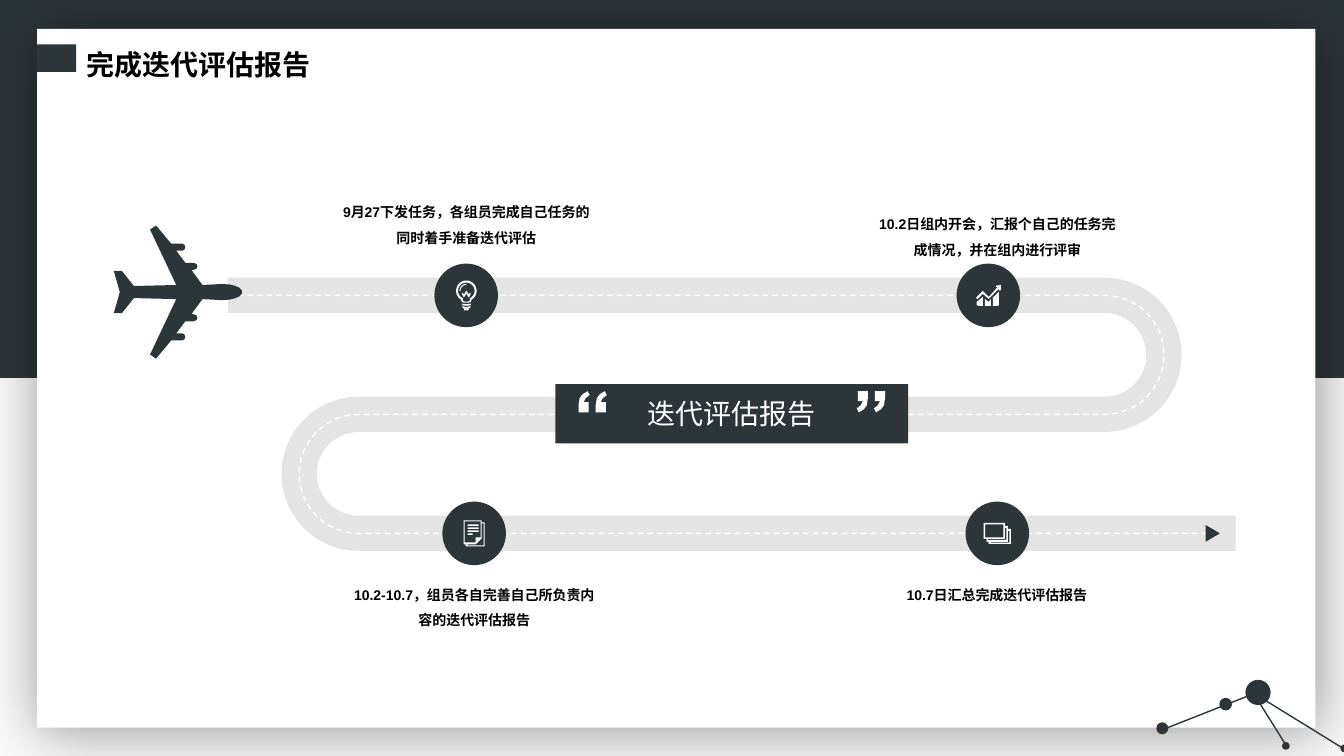
from dataclasses import dataclass
from math import cos, radians, sin

from lxml import etree
from pptx import Presentation
from pptx import util as u
from pptx.dml.color import RGBColor
from pptx.enum import dml, shapes, text
from pptx.oxml.ns import qn


@dataclass(frozen=True)
class Theme:
    dark: str = "2C353A"
    white: str = "FFFFFF"
    black: str = "000000"
    road: str = "A6A6A6"
    backdrop: str = "F9F9F9"
    font: str = "Arial"
    heading: int = 20
    label: int = 10


THEME = Theme()


def arc(center_x, center_y, radius, start, end, steps=24):
    """Points along an arc; degrees run clockwise from the right."""
    angles = [radians(start + (end - start) * i / steps) for i in range(steps + 1)]
    return [(center_x + radius * cos(a), center_y + radius * sin(a)) for a in angles]


def box(left, top, right, bottom):
    return [(left, top), (right, top), (right, bottom), (left, bottom)]


# Icons are lists of contours on a grid of 0.72 pt, starting at 0, 0.
GRID = 0.72
BULB = [
    arc(10.5, 10.2, 10.2, 122, 418) + [(15, 21), (13, 22), (8, 22), (6, 21)],
    arc(10.5, 10.2, 8.2, 115, 425) + [(14, 20), (12, 21), (9, 21), (7, 20)],
    arc(10.5, 10.2, 6.8, 180, 270) + arc(10.5, 10.2, 5.8, 270, 180),
    [(13, 14), (10.5, 10), (8, 14), (7, 12), (6, 13), (8, 17), (10.5, 13),
     (13, 17), (15, 13), (14, 12)],
    [(6, 23), (6, 24), (8, 25), (13, 25), (15, 24), (15, 23), (10.5, 23.5)],
    [(6, 25.5), (7, 27), (8, 28), (8.5, 29.5), (12.5, 29.5), (13, 28), (14, 27),
     (15, 25.5), (10.5, 26.3)],
]
GROWTH = [
    [(1, 17), (7, 12), (7, 21), (3, 21), (1, 20)],
    [(20, 1), (20, 2), (22, 2), (13, 12), (7, 6), (1, 12), (0.5, 13), (1, 14),
     (2, 14), (7, 9), (13, 14), (23, 4), (23, 5), (24, 6), (25, 5), (25, 0)],
    [(9, 14), (13, 17), (15, 14), (15, 21), (9, 21)],
    [(17, 12), (18, 12), (23, 7), (23, 20), (22, 21), (17, 21)],
]
DOCUMENT = [
    box(4, 4, 15, 5.5), box(4, 7, 15, 8.5), box(4, 10, 15, 11.5), box(4, 13, 9, 14.5),
    [(18, 2), (18, 0), (0, 0), (0, 24), (2, 24), (2, 26), (21, 26), (21, 2)],
    [(1, 22), (1, 1), (17, 1), (17, 17), (12, 17), (12, 22)],
    [(20, 19), (20, 25), (4, 25), (4, 24), (12, 24), (18, 18), (18, 3), (20, 3)],
]
SCREENS = [
    [(24, 6), (24, 3), (21, 3), (21, 0), (0, 0), (0, 16), (3, 16), (3, 19),
     (5, 19), (5, 21), (27, 21), (27, 6)],
    box(1.5, 1.5, 19.5, 14.5),
    [(4, 17), (4, 16), (21, 16), (21, 5), (22.5, 5), (22.5, 17)],
    [(25.5, 19.7), (7, 19.7), (7, 19), (24, 19), (24, 8), (25.5, 8)],
]
QUOTE_MARK = [(9, 0), (4, 3), (1, 7), (0, 14), (0, 21), (10, 21), (10, 11), (5, 11),
              (7, 7), (11, 4)]
OPEN_QUOTE = [QUOTE_MARK, [(x + 17, y) for x, y in QUOTE_MARK]]
CLOSE_QUOTE = [[(28 - x, 21 - y) for x, y in mark] for mark in OPEN_QUOTE]
WING = [(0, 21), (8, 21), (20, 6), (62, 7), (36, 62), (42, 66), (57, 48), (68, 48),
        (70, 47), (71, 44.5), (70, 42), (68, 41), (62, 41), (71, 29), (79, 29),
        (82, 28), (83, 25.5), (82, 23), (79, 22), (77, 22), (88, 7), (107, 8),
        (115, 7.5), (121, 6), (125, 4), (127, 1.5)]
PLANE = [[(6, 0)] + [(x, -y) for x, y in WING] + WING[::-1]]

TITLE = "完成迭代评估报告"
BANNER = "迭代评估报告"
LANE_TOP, TURN_RADIUS = 211, 42.5
LANE_BOTTOM = LANE_TOP + 4 * TURN_RADIUS
TURN_LEFT, TURN_RIGHT = 256.2, 789
ROAD_START, ROAD_END, DASH_END, ROAD_HALF_WIDTH = 162.8, 882.7, 867.6, 12.6
CIRCLE, LABEL_WIDTH = 45.4, 192.4

# circle centre x, lane y, icon, label centre x, label top, label height, wording
MILESTONES = [
    (333, LANE_TOP, BULB, 333, 136, 43,
     "9月27下发任务，各组员完成自己任务的同时着手准备迭代评估"),
    (338.7, LANE_BOTTOM, DOCUMENT, 338.7, 409.5, 43,
     "10.2-10.7，组员各自完善自己所负责内容的迭代评估报告"),
    (712.4, LANE_BOTTOM, SCREENS, 712, 409.5, 25, "10.7日汇总完成迭代评估报告"),
    (706, LANE_TOP, GROWTH, 712.4, 144.6, 43,
     "10.2日组内开会，汇报个自己的任务完成情况，并在组内进行评审"),
]
# centre x, centre y, diameter
NETWORK_DOTS = [(875.5, 503, 9), (898.6, 494.6, 18), (830.2, 520.2, 8.6),
                (918.5, 532.8, 5.5), (960.2, 534.6, 5.5)]
NETWORK_LINKS = [(830.2, 521.3, 901.4, 493.2), (900, 502.6, 918, 531.4),
                 (902.9, 499.7, 961.2, 535.7)]


def paint(shape, fill):
    shape.shadow.inherit = False
    shape.line.fill.background()
    shape.fill.solid()
    shape.fill.fore_color.rgb = RGBColor.from_string(fill)
    return shape


def add_preset(container, kind, left, top, width, height, fill):
    return paint(container.shapes.add_shape(
        kind, u.Pt(left), u.Pt(top), u.Pt(width), u.Pt(height)), fill)


def add_rectangle(container, *frame_and_fill):
    return add_preset(container, shapes.MSO_SHAPE.RECTANGLE, *frame_and_fill)


def add_dot(container, center_x, center_y, diameter):
    return add_preset(container, shapes.MSO_SHAPE.OVAL, center_x - diameter / 2,
                      center_y - diameter / 2, diameter, diameter, THEME.dark)


def add_outline(container, contours, fill, left=0, top=0, scale=1, close=True):
    placed = [[(u.Pt(left + x * scale), u.Pt(top + y * scale)) for x, y in contour]
              for contour in contours]
    builder = container.shapes.build_freeform(*placed[0][0], scale=1.0)
    builder.add_line_segments(placed[0][1:], close=close)
    for contour in placed[1:]:
        builder.move_to(*contour[0])
        builder.add_line_segments(contour[1:], close=close)
    return paint(builder.convert_to_shape(), fill)


def add_text(container, wording, left, top, width, height, size, color,
             bold=False, align=text.PP_ALIGN.CENTER, spacing=1.5, margins=(7.2, 3.6)):
    frame = container.shapes.add_textbox(
        u.Pt(left), u.Pt(top), u.Pt(width), u.Pt(height)).text_frame
    frame.word_wrap = True
    frame.auto_size = text.MSO_AUTO_SIZE.SHAPE_TO_FIT_TEXT
    frame.margin_left = frame.margin_right = u.Pt(margins[0])
    frame.margin_top = frame.margin_bottom = u.Pt(margins[1])
    paragraph = frame.paragraphs[0]
    paragraph.text = wording
    paragraph.alignment, paragraph.line_spacing = align, spacing
    font = paragraph.font
    font.name, font.size, font.bold = THEME.font, u.Pt(size), bold
    font.color.rgb = RGBColor.from_string(color)


def set_alpha(color_element, percent):
    etree.SubElement(color_element, qn("a:alpha"), val=str(percent * 1000))


def add_soft_shadow(shape):
    effects = shape._element.spPr.find(qn("a:effectLst"))
    shadow = etree.SubElement(effects, qn("a:outerShdw"), blurRad=str(u.Pt(42)),
                              dist=str(u.Pt(3)), dir="2700000", algn="tl", rotWithShape="0")
    set_alpha(etree.SubElement(shadow, qn("a:srgbClr"), val=THEME.black), 40)


def road_edge(offset, end):
    """The winding road, moved sideways from its centre line by offset."""
    outer, inner = TURN_RADIUS + offset, TURN_RADIUS - offset
    return ([(ROAD_START, LANE_TOP - offset)]
            + arc(TURN_RIGHT, LANE_TOP + TURN_RADIUS, outer, -90, 90)
            + arc(TURN_LEFT, LANE_BOTTOM - TURN_RADIUS, inner, 270, 90)
            + [(end, LANE_BOTTOM - offset)])


def add_network(slide):
    for dot in NETWORK_DOTS:
        add_dot(slide, *dot)
    for link in NETWORK_LINKS:
        line = slide.shapes.add_connector(shapes.MSO_CONNECTOR.STRAIGHT, *map(u.Pt, link))
        line.line.color.rgb = RGBColor.from_string(THEME.dark)
        line.line.width = u.Pt(1)
        etree.SubElement(line._element.spPr, qn("a:effectLst"))


def add_road(slide):
    edges = (road_edge(ROAD_HALF_WIDTH, ROAD_END)
             + road_edge(-ROAD_HALF_WIDTH, ROAD_END)[::-1])
    road = add_outline(slide, [edges], THEME.road)
    set_alpha(road._element.spPr.find(f"{qn('a:solidFill')}/{qn('a:srgbClr')}"), 30)
    dashes = add_outline(slide, [road_edge(0, DASH_END)], THEME.white, close=False)
    dashes.fill.background()
    dashes.line.color.rgb = RGBColor.from_string(THEME.white)
    dashes.line.width = u.Pt(1)
    dashes.line.dash_style = dml.MSO_LINE.DASH


def add_milestone(slide, center_x, center_y, icon, label_x, label_top, label_height, wording):
    group = slide.shapes.add_group_shape()
    add_dot(group, center_x, center_y, CIRCLE)
    points = [point for contour in icon for point in contour]
    width, height = (max(axis) * GRID for axis in zip(*points))
    add_outline(group, icon, THEME.white, center_x - width / 2, center_y - height / 2, GRID)
    add_text(group, wording, label_x - LABEL_WIDTH / 2, label_top, LABEL_WIDTH,
             label_height, THEME.label, THEME.black, bold=True)


def main():
    presentation = Presentation()
    presentation.slide_width, presentation.slide_height = u.Pt(960), u.Pt(540)
    slide = presentation.slides.add_slide(presentation.slide_layouts[6])
    slide.background.fill.solid()
    slide.background.fill.fore_color.rgb = RGBColor.from_string(THEME.backdrop)

    add_rectangle(slide, 0, 0, 960, 270, THEME.dark)
    add_soft_shadow(add_rectangle(slide, 26.5, 20.7, 913, 499, THEME.white))
    add_text(slide, TITLE, 54.7, 18.7, 261.4, 43.2, THEME.heading, THEME.black,
             bold=True, align=text.PP_ALIGN.LEFT)
    add_rectangle(slide, 26.5, 31.7, 28, 19.6, THEME.dark)
    add_network(slide)
    add_road(slide)

    add_rectangle(slide, 396.7, 274.3, 252, 42.5, THEME.dark)
    add_text(slide, BANNER, 426.2, 285, 193, 22, THEME.heading, THEME.white,
             spacing=u.Pt(22), margins=(0, 0))
    add_outline(slide, OPEN_QUOTE, THEME.white, 413.3, 279.4, GRID)
    add_outline(slide, CLOSE_QUOTE, THEME.white, 612, 279.4, GRID)
    add_outline(slide, [[(0, -6), (10.2, 0), (0, 6)]], THEME.dark, 861.2, LANE_BOTTOM)
    add_outline(slide, PLANE, THEME.dark, 81.3, 208.6, GRID)
    for milestone in MILESTONES:
        add_milestone(slide, *milestone)
    presentation.save("out.pptx")


if __name__ == "__main__":
    main()
